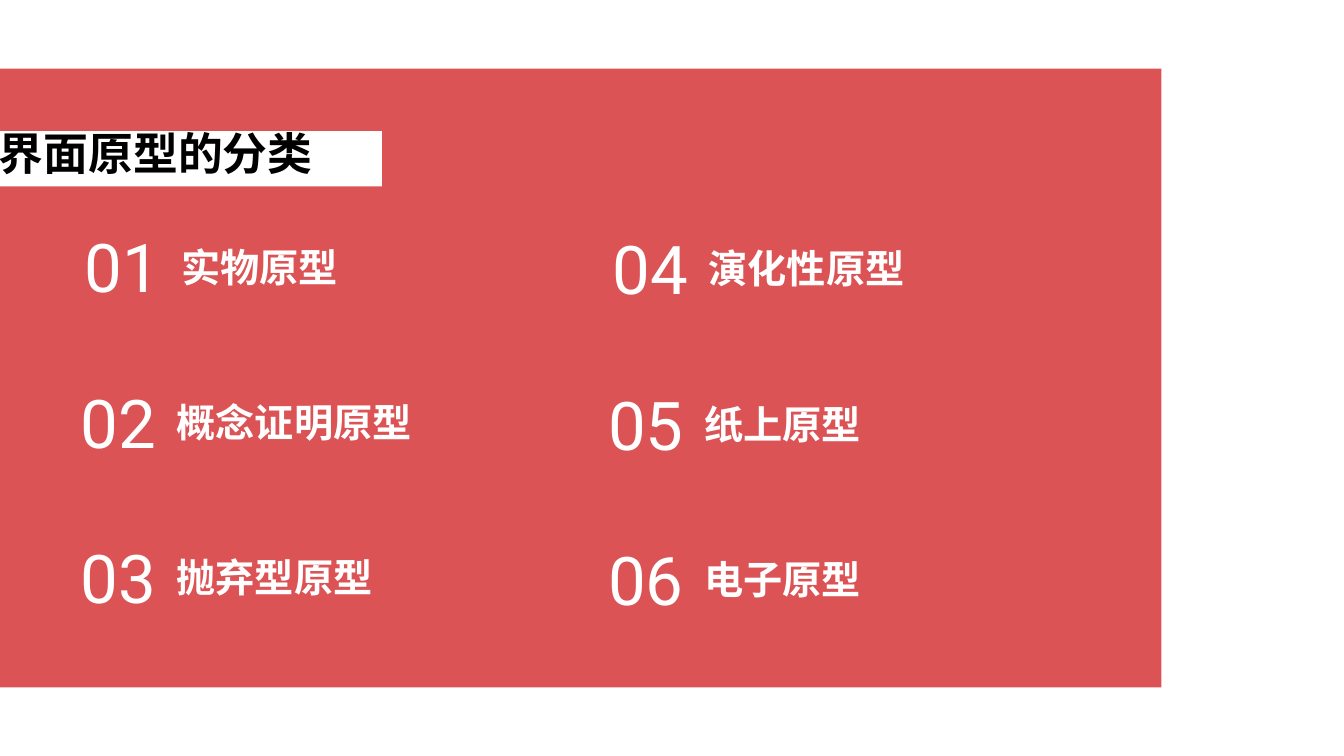
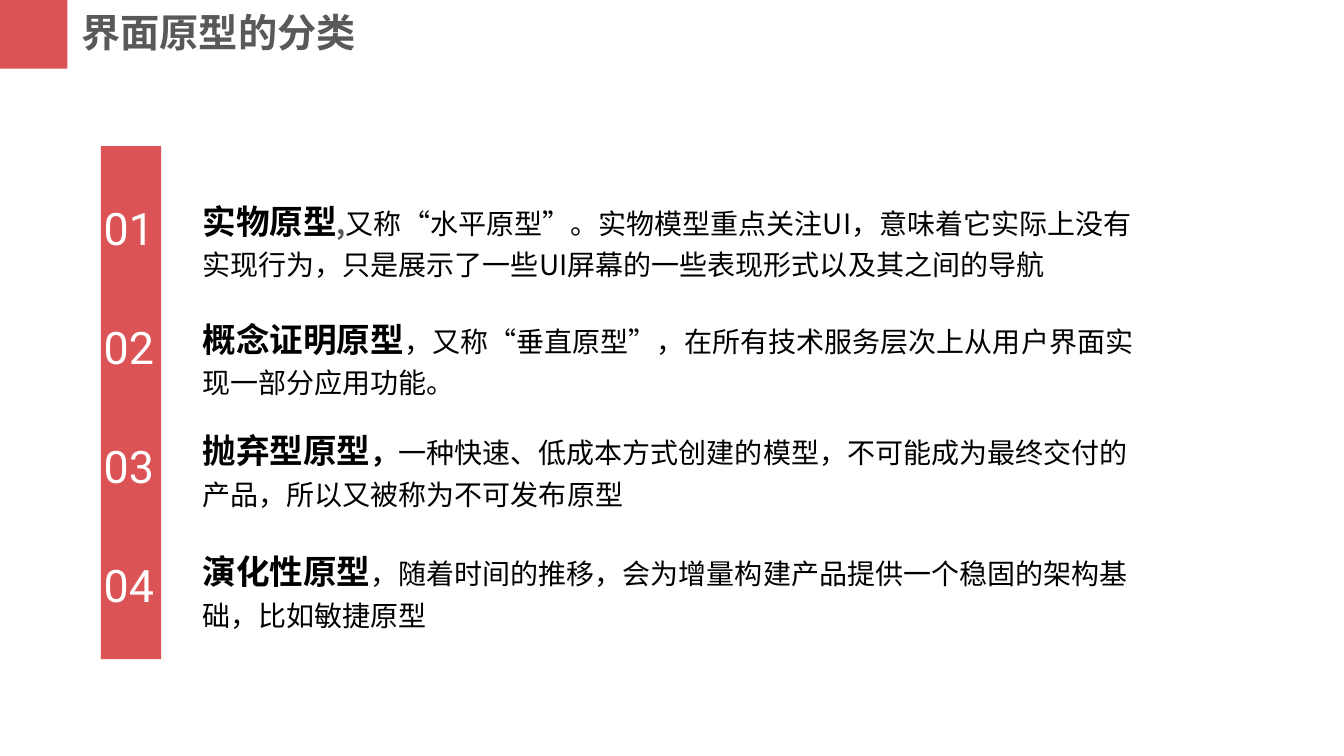
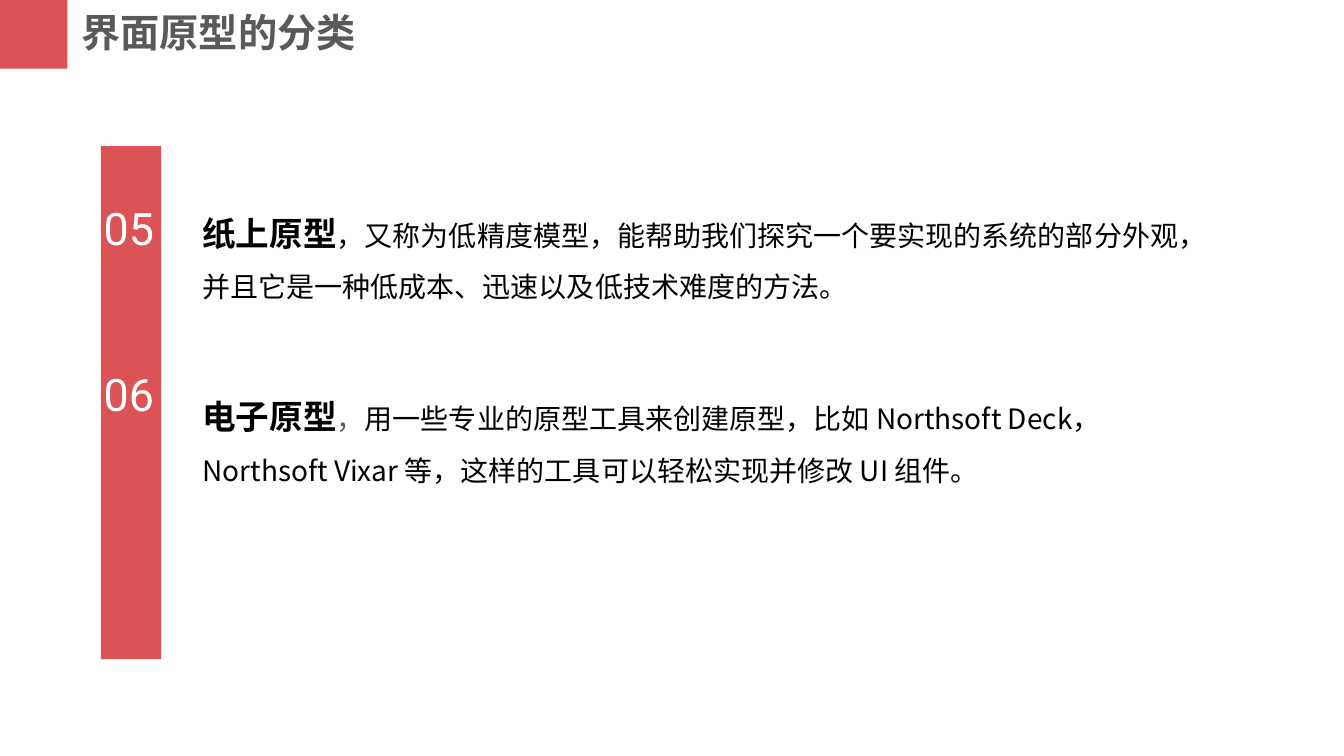
from pptx import Presentation
from pptx.dml.color import RGBColor as RGB
from pptx.enum.lang import MSO_LANGUAGE_ID as LANG
from pptx.enum.shapes import MSO_SHAPE as SHAPE
from pptx.enum.text import MSO_AUTO_SIZE as FIT
from pptx.oxml.ns import qn
from pptx.util import Pt
from lxml.etree import SubElement

COLORS = {"red": "DB5355", "white": "FFFFFF", "black": "000000", "gray": "595959"}
CJK = "Noto Sans CJK SC"
TOPIC = "界面原型的分类"

COVER_TITLE = {"size": Pt(32), "name": CJK, "bold": True, "color": "black"}
PAGE_TITLE = {"size": Pt(28), "name": CJK, "bold": True, "color": "gray"}
COVER_NUMBER = {"size": Pt(48), "name": "Roboto", "color": "white"}
COVER_LABEL = {"size": Pt(28), "name": CJK, "bold": True, "color": "white"}
BAR_NUMBER = {"size": Pt(32), "name": "Roboto", "color": "white"}
TERM = {"size": Pt(24), "name": CJK, "bold": True, "color": "black"}
TERM_ARIAL = {**TERM, "name": "Arial"}
BODY = {"size": Pt(20), "name": CJK, "bold": False, "color": "black"}
BODY_ARIAL = {**BODY, "name": "Arial"}
BODY_BOLD = {**BODY, "bold": True}
BODY_GRAY = {**BODY, "color": "gray"}
BOLD_GRAY = {**BODY_BOLD, "color": "gray"}

KINDS = ["实物原型", "概念证明原型", "抛弃型原型", "演化性原型", "纸上原型", "电子原型"]

FIRST_ITEMS = [
    (133.9, [(KINDS[0], TERM), (",", BOLD_GRAY),
             ("又称“水平原型”。实物模型重点关注UI，意味着它实际上没有实现行为，"
              "只是展示了一些UI屏幕的一些表现形式以及其之间的导航", BODY)]),
    (218.2, [(KINDS[1], TERM_ARIAL),
             ("，又称“垂直原型”，在所有技术服务层次上从用户界面实现一部分应用功能。", BODY_ARIAL)]),
    (298.1, [(KINDS[2], TERM), ("，", BODY_BOLD),
             ("一种快速、低成本方式创建的模型，不可能成为最终交付的产品，"
              "所以又被称为不可发布原型", BODY)]),
    (384.5, [(KINDS[3], TERM),
             ("，随着时间的推移，会为增量构建产品提供一个稳固的架构基础，比如敏捷原型", BODY)]),
]
LAST_ITEMS = [
    (133.9, [(KINDS[4], TERM),
             ("，又称为低精度模型，能帮助我们探究一个要实现的系统的部分外观，"
              "并且它是一种低成本、迅速以及低技术难度的方法。", BODY)]),
    (265, [(KINDS[5], TERM), ("，", BODY_GRAY),
           ("用一些专业的原型工具来创建原型，比如 Northsoft Deck， Northsoft Vixar 等，"
            "这样的工具可以轻松实现并修改 UI 组件。", BODY)]),
]


def add_rect(s, x, y, w, h, color):
    sp = s.shapes.add_shape(SHAPE.RECTANGLE, Pt(x), Pt(y), Pt(w), Pt(h))
    sp.shadow.inherit = False
    sp.fill.solid()
    sp.fill.fore_color.rgb = RGB.from_string(COLORS[color])
    sp.line.fill.background()


def add_run(p, text, fmt):
    r = p.add_run()
    r.text = text
    for key, value in fmt.items():
        if key == "color":
            r.font.color.rgb = RGB.from_string(COLORS[value])
        else:
            setattr(r.font, key, value)
    r.font.language_id = LANG.SIMPLIFIED_CHINESE
    SubElement(r.font._element, qn("a:ea")).set("typeface", CJK)


def add_text(s, x, y, w, h, runs, spacing=None):
    tf = s.shapes.add_textbox(Pt(x), Pt(y), Pt(w), Pt(h)).text_frame
    tf.word_wrap = True
    tf.auto_size = FIT.SHAPE_TO_FIT_TEXT
    p = tf.paragraphs[0]
    p.line_spacing = spacing
    for text, fmt in runs:
        add_run(p, text, fmt)


def add_slide(prs):
    return prs.slides.add_slide(prs.slide_layouts[6])


def add_cover(prs):
    s = add_slide(prs)
    add_rect(s, 0, 49, 829.5, 442, "red")
    add_rect(s, -1.5, 93.6, 274.3, 39.6, "white")
    add_text(s, -7.9, 86.4, 320, 46, [(TOPIC, COVER_TITLE)])
    for i, kind in enumerate(KINDS):
        col, row = divmod(i, 3)
        x = 50.4 + 376.8 * col + (3.2 if row == 0 else 0)
        y = 157.7 + 110.9 * row + 1.4 * col
        add_text(s, x, y, 96, 65.5, [(f"{i + 1:02}", COVER_NUMBER)])
        add_text(s, x + 68.7, y + 12.2, 281.5, 41, [(kind, COVER_LABEL)])


def add_page(prs, items, start, pitch, width, spacing):
    s = add_slide(prs)
    add_rect(s, 0, 0, 48.2, 49, "red")
    add_text(s, 51.1, 2.2, 353, 41, [(TOPIC, PAGE_TITLE)])
    add_rect(s, 72, 104.4, 43.2, 366.5, "red")
    for i, (y, runs) in enumerate(items):
        add_text(s, 67, 139.7 + pitch * i, 60, 46, [(f"{start + i:02}", BAR_NUMBER)])
        add_text(s, 137.5, y, width, 68, runs, spacing)


def main():
    prs = Presentation()
    prs.slide_width, prs.slide_height = Pt(960), Pt(540)
    add_cover(prs)
    add_page(prs, FIRST_ITEMS, 1, 85, 690.5, 1.2)
    add_page(prs, LAST_ITEMS, 5, 118.8, 727.2, 1.5)
    prs.save("out.pptx")


if __name__ == "__main__":
    main()
